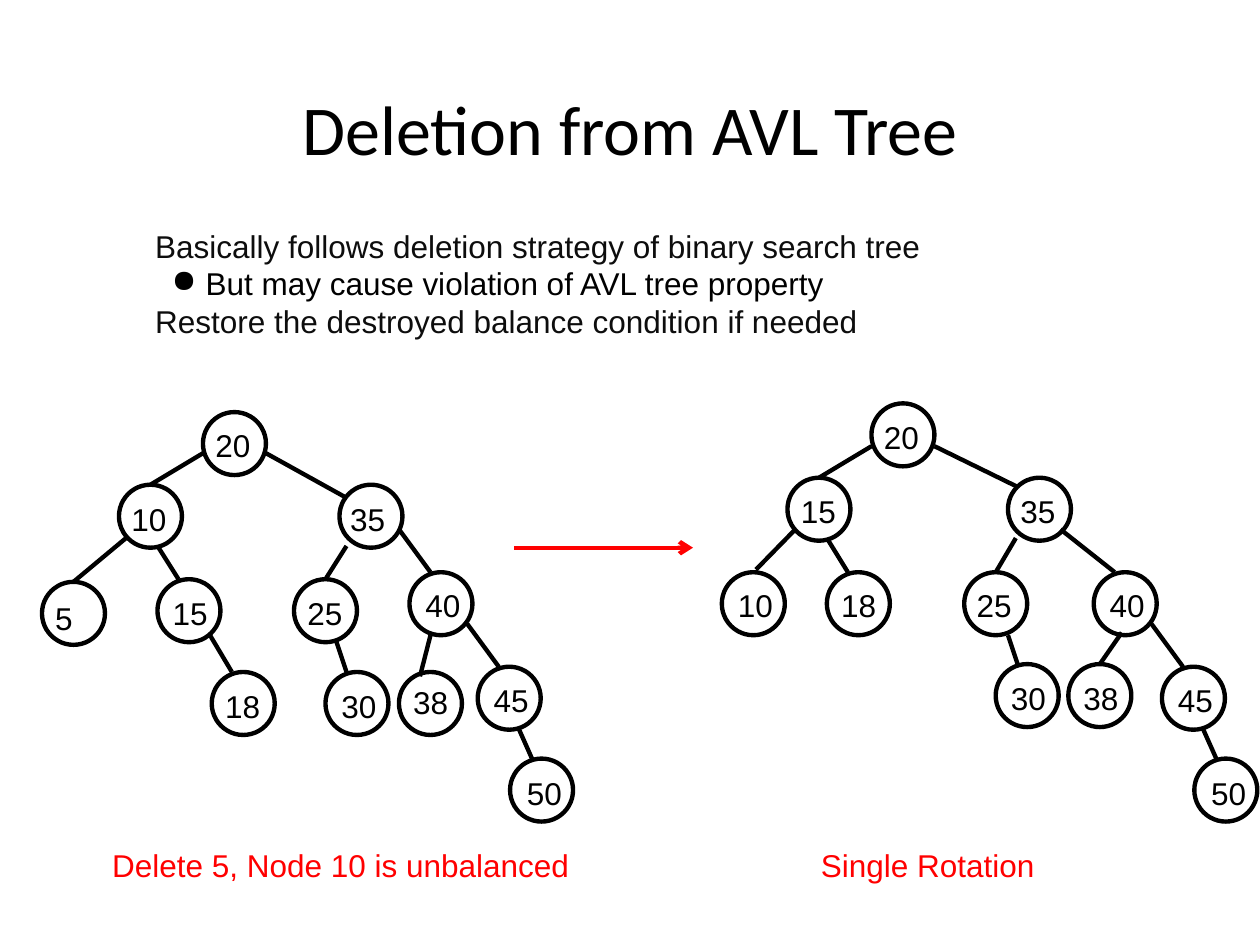
from lxml import etree
from pptx import Presentation
from pptx.dml.color import RGBColor
from pptx.enum.shapes import MSO_CONNECTOR, MSO_SHAPE
from pptx.enum.text import MSO_ANCHOR, PP_ALIGN
from pptx.oxml.ns import qn
from pptx.util import Pt

LINE, OVAL = MSO_CONNECTOR.STRAIGHT, MSO_SHAPE.OVAL
MID, CENTER = MSO_ANCHOR.MIDDLE, PP_ALIGN.CENTER
BLACK, DARK, RED = "000000", "0D0D0D", "FF0000"
SIZE, STROKE = 36, 2.5

# Nodes: key, left, top, label shift right, label shift down
OLD_NODES = [
    (20, 116, 235.5, 0, 4.5), (10, 68, 277, 0, 5), (35, 194, 277, -1, 5),
    (5, 24, 332.5, 0.5, 6), (15, 90, 331, 1.5, 5), (25, 168, 331, 0.5, 5),
    (40, 234, 327, 2, 4.5), (18, 121, 384, 0.5, 5), (30, 186, 384, 2, 5),
    (38, 228, 384, 1, 2.5), (45, 273, 381, 2, 4.5), (50, 291.5, 433.5, 2.5, 5),
]
NEW_NODES = [
    (20, 498, 230.5, 0, 5), (15, 450, 273, 0.5, 4.5), (35, 576, 273, 0, 4.5),
    (10, 412.5, 327, 2, 4.5), (18, 472.5, 327, 1, 4.5), (25, 551, 327, 0, 4.5),
    (40, 625, 327, 2, 4.5), (30, 569, 379.5, 1.5, 5), (38, 610.5, 379.5, 1.5, 5),
    (45, 664, 381, 2, 4.5), (50, 682.5, 433.5, 2.5, 5),
]

# Edges: start x, y and end x, y, from parent to child
OLD_EDGES = [
    (116, 259, 86, 277), (152, 259, 198, 284.5), (72, 307.5, 42, 332.5),
    (90, 312, 102, 331), (198, 312, 186, 331), (228, 302.5, 246, 327),
    (120, 363, 132.5, 384), (192, 366, 198, 384), (246, 363, 240, 386.5),
    (267, 356.5, 285, 381), (296, 415.5, 304, 433.5),
]
NEW_EDGES = [
    (498, 255, 468, 273), (534, 255, 582, 278.5), (454.5, 302.5, 432, 325.5),
    (472.5, 307.5, 484.5, 327), (580.5, 307.5, 569, 327), (606, 302.5, 637, 327),
    (576, 363, 582, 381), (641, 361.5, 628.5, 379.5), (658, 356.5, 676, 381),
    (687, 415.5, 695, 433.5),
]


def color(code):
    return RGBColor.from_string(code)


def add_run(para, text, code, size=18, face="Arial"):
    run = para.add_run()
    run.text = text
    run.font.size, run.font.name = Pt(size), face
    run.font.color.rgb = color(code)


def add_box(slide, left, top, width, height, wrap=True):
    box = slide.shapes.add_textbox(Pt(left), Pt(top), Pt(width), Pt(height))
    frame = box.text_frame
    frame.word_wrap = wrap
    frame.margin_left = frame.margin_right = Pt(7.2)
    frame.margin_top = frame.margin_bottom = Pt(3.6)
    return frame


def add_label(slide, text, left, top, width, code=BLACK):
    frame = add_box(slide, left, top, width, 29, wrap=False)
    add_run(frame.paragraphs[0], text, code)


def add_line(slide, ends, code=BLACK, arrow=False):
    line = slide.shapes.add_connector(LINE, *[Pt(n) for n in ends])
    line.line.color.rgb = color(code)
    line.line.width = Pt(STROKE)
    if arrow:
        stroke = line.line._get_or_add_ln()
        etree.SubElement(stroke, qn("a:tailEnd"), type="arrow")
    etree.SubElement(line._element.spPr, qn("a:effectLst"))


def add_node(slide, key, left, top, right, down):
    ring = slide.shapes.add_shape(OVAL, Pt(left), Pt(top), Pt(SIZE), Pt(SIZE))
    ring.shadow.inherit = False
    ring.fill.background()
    ring.line.color.rgb = color(BLACK)
    ring.line.width = Pt(STROKE)
    width = 14.5 + 10 * len(str(key))
    add_label(slide, str(key), left + right, top + down, width)


def add_tree(slide, nodes, edges):
    for ends in edges:
        add_line(slide, ends)
    for node in nodes:
        add_node(slide, *node)


def add_point(para, text, code, left, hang=0):
    props = para._p.get_or_add_pPr()
    props.set("marL", str(Pt(left)))
    props.set("indent", str(Pt(-hang)))
    if hang:
        para.level = 1
        tint = etree.SubElement(props, qn("a:buClr"))
        etree.SubElement(tint, qn("a:srgbClr"), val=BLACK)
        etree.SubElement(props, qn("a:buChar"), char="●")
    add_run(para, text, code)


def main():
    deck = Presentation()
    deck.slide_width, deck.slide_height = Pt(720), Pt(540)
    slide = deck.slides.add_slide(deck.slide_layouts[6])

    # Title
    frame = add_box(slide, 36, 30, 648, 90)
    frame.vertical_anchor = MID
    title = frame.paragraphs[0]
    title.alignment, title.line_spacing = CENTER, 0.97
    add_run(title, "Deletion from AVL Tree", BLACK, 40, "Calibri")

    # Main points
    frame = add_box(slide, 60, 126, 612, 72)
    add_point(frame.paragraphs[0],
              "Basically follows deletion strategy of binary search tree", DARK, 21.6)
    add_point(frame.add_paragraph(),
              "But may cause violation of AVL tree property", BLACK, 50.4, 19.4)
    add_point(frame.add_paragraph(),
              "Restore the destroyed balance condition if needed", DARK, 21.6)

    # Trees before and after the rotation
    add_tree(slide, OLD_NODES, OLD_EDGES)
    add_tree(slide, NEW_NODES, NEW_EDGES)
    add_line(slide, (294, 313, 396, 313), RED, arrow=True)

    # Captions
    add_label(slide, "Delete 5, Node 10 is unbalanced", 57, 480, 276, RED)
    add_label(slide, "Single Rotation", 462, 480, 150, RED)

    deck.save("out.pptx")


if __name__ == "__main__":
    main()
